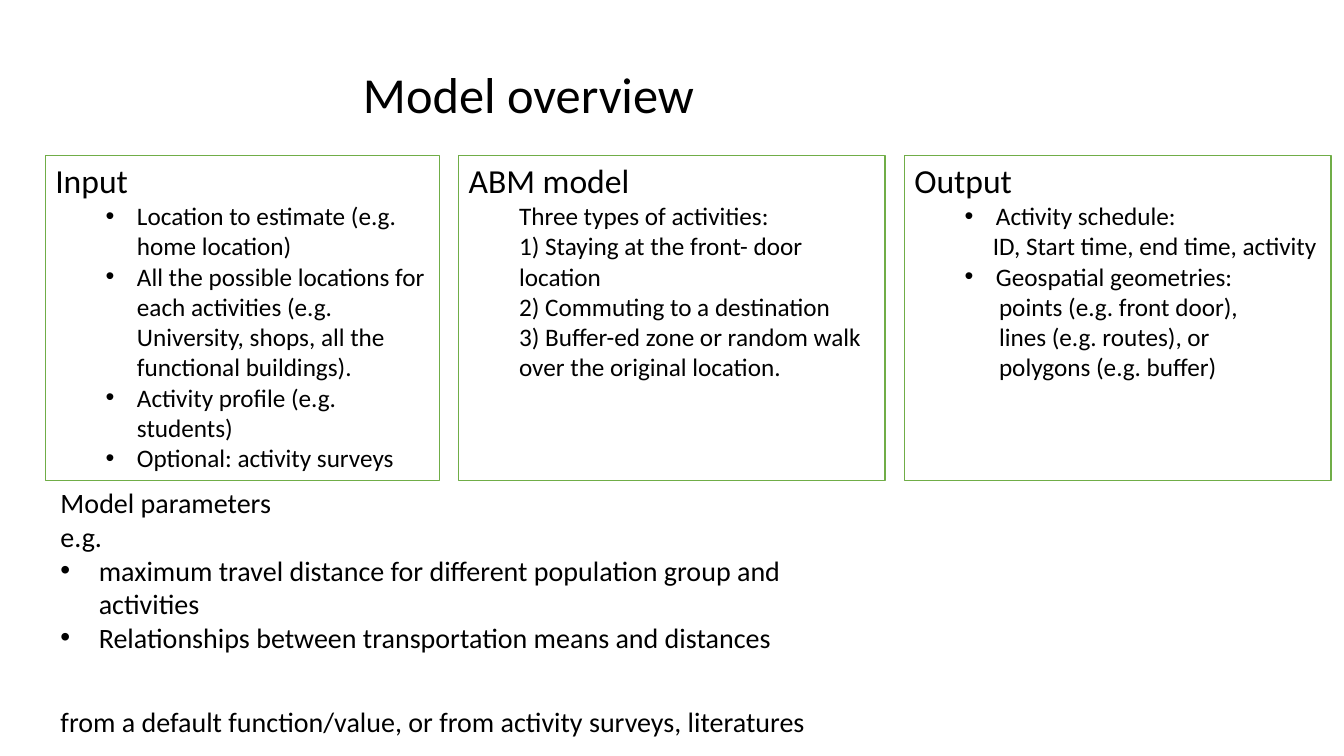
from lxml.etree import SubElement
from pptx import Presentation
from pptx.dml.color import RGBColor
from pptx.enum.shapes import MSO_SHAPE
from pptx.enum.text import MSO_ANCHOR, MSO_AUTO_SIZE, PP_ALIGN
from pptx.oxml.ns import qn
from pptx.util import Inches, Pt

BLACK = "000000"
WHITE = "FFFFFF"
GREEN = "70AD47"
PLAIN = (0.5, 0, False)
BULLET = (0.81, -0.31, True)
WIDE_BULLET = (0.88, -0.38, True)
HEADING = (0, 0, False)
FIELDS = (0.78, 0, False)
SHAPES = (0.84, 0, False)

PANELS = [
    (0.45, 3.91, "Input", [
        ("Location to estimate (e.g. home location)", BULLET),
        ("All the possible locations for each activities (e.g. University, shops, "
         "all the functional buildings).", BULLET),
        ("Activity profile (e.g. students)", BULLET),
        ("Optional: activity surveys", BULLET),
    ]),
    (4.55, 4.23, "ABM model", [
        ("Three types of activities:", PLAIN),
        ("1) Staying at the front- door location", PLAIN),
        ("2) Commuting to a destination", PLAIN),
        ("3) Buffer-ed zone or random walk over the original location.", PLAIN),
    ]),
    (8.97, 4.23, "Output", [
        ("Activity schedule:", BULLET),
        ("ID, Start time, end time, activity", FIELDS),
        ("Geospatial geometries:", BULLET),
        ("points (e.g. front door),", SHAPES),
        ("lines (e.g. routes), or", SHAPES),
        ("polygons (e.g. buffer)", SHAPES),
    ]),
]

PARAMETERS = [
    ("Model parameters", PLAIN),
    ("e.g.", PLAIN),
    ("maximum travel distance for different population group and activities", WIDE_BULLET),
    ("Relationships between transportation means and distances", WIDE_BULLET),
    ("from a default function/value, or from activity surveys, literatures", PLAIN),
]


def color(value):
    return RGBColor.from_string(value)


def place(shape, left, top, width, height):
    shape.left, shape.top = Inches(left), Inches(top)
    shape.width, shape.height = Inches(width), Inches(height)


def prepare_frame(shape):
    frame = shape.text_frame
    frame.word_wrap = True
    frame.auto_size = MSO_AUTO_SIZE.NONE
    frame.vertical_anchor = MSO_ANCHOR.TOP
    return frame


def write_paragraph(paragraph, text, style, size):
    margin, indent, bulleted = style
    paragraph.text = text
    paragraph.alignment = PP_ALIGN.LEFT
    paragraph.space_before = Pt(0)
    properties = paragraph._p.get_or_add_pPr()
    properties.set("marL", str(Inches(margin)))
    properties.set("indent", str(Inches(indent)))
    if bulleted:
        SubElement(properties, qn("a:buFont"), typeface="Arial")
        SubElement(properties, qn("a:buChar"), char="•")
    else:
        SubElement(properties, qn("a:buNone"))
    paragraph.font.name = "Calibri"
    paragraph.font.size = Pt(size)
    paragraph.font.color.rgb = color(BLACK)


def add_title(slide, left, top, width, height):
    title = slide.shapes.title
    place(title, left, top, width, height)
    frame = prepare_frame(title)
    write_paragraph(frame.paragraphs[0], "Model overview", PLAIN, 36)


def add_panel(slide, left, top, width, height, heading, lines):
    panel = slide.shapes.add_shape(
        MSO_SHAPE.RECTANGLE, Inches(left), Inches(top), Inches(width), Inches(height))
    panel.shadow.inherit = False
    panel.fill.solid()
    panel.fill.fore_color.rgb = color(WHITE)
    panel.line.color.rgb = color(GREEN)
    panel.line.width = Pt(1)
    frame = prepare_frame(panel)
    write_paragraph(frame.paragraphs[0], heading, HEADING, 24)
    for text, style in lines:
        write_paragraph(frame.add_paragraph(), text, style, 18)


def add_parameters(slide, left, top, width, height):
    body = slide.placeholders[1]
    place(body, left, top, width, height)
    frame = prepare_frame(body)
    for index, (text, style) in enumerate(PARAMETERS):
        paragraph = frame.add_paragraph() if index else frame.paragraphs[0]
        write_paragraph(paragraph, text, style, 20)
    frame.paragraphs[-1].space_before = Pt(36)


def main():
    presentation = Presentation()
    presentation.slide_width = Inches(13.33)
    presentation.slide_height = Inches(7.5)
    slide = presentation.slides.add_slide(presentation.slide_layouts[1])
    add_title(slide, 3, 0.58, 6.67, 0.9)
    for left, width, heading, lines in PANELS:
        add_panel(slide, left, 1.54, width, 3.23, heading, lines)
    add_parameters(slide, 0, 4.77, 8.46, 2.73)
    presentation.save("out.pptx")


if __name__ == "__main__":
    main()
